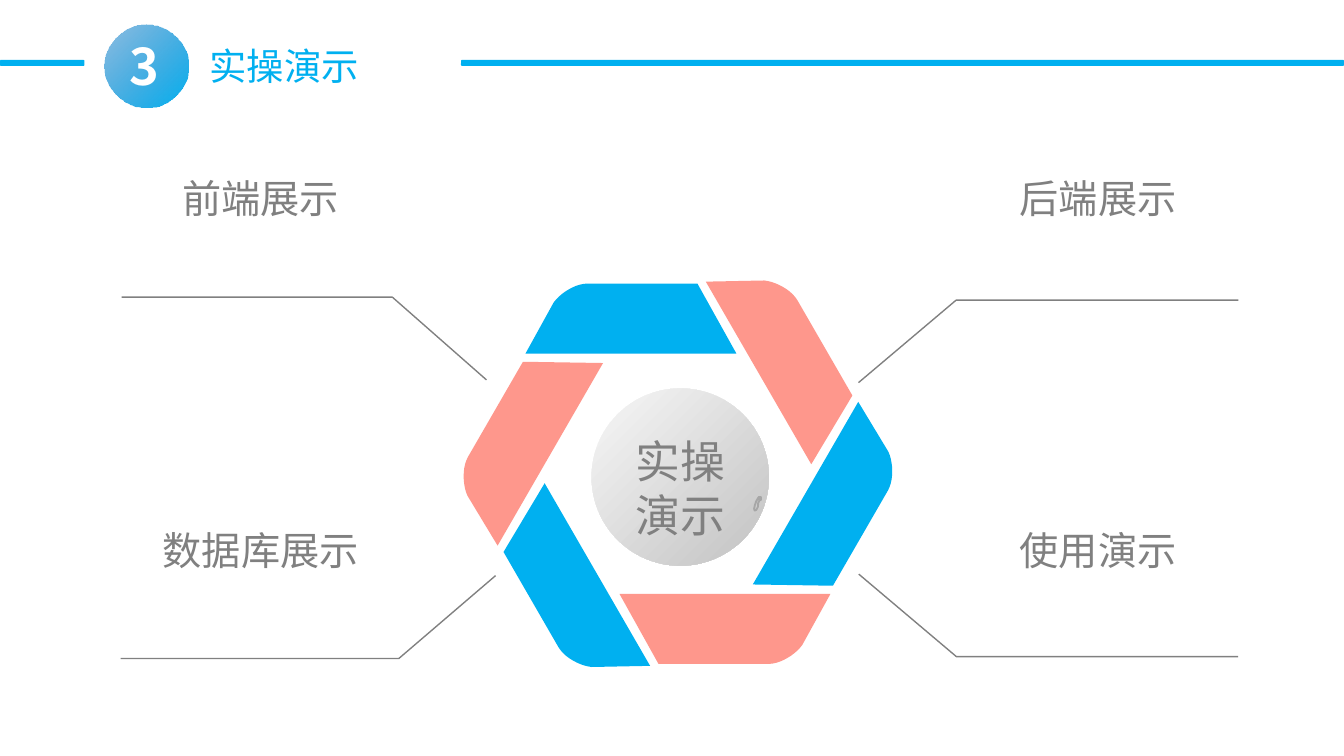
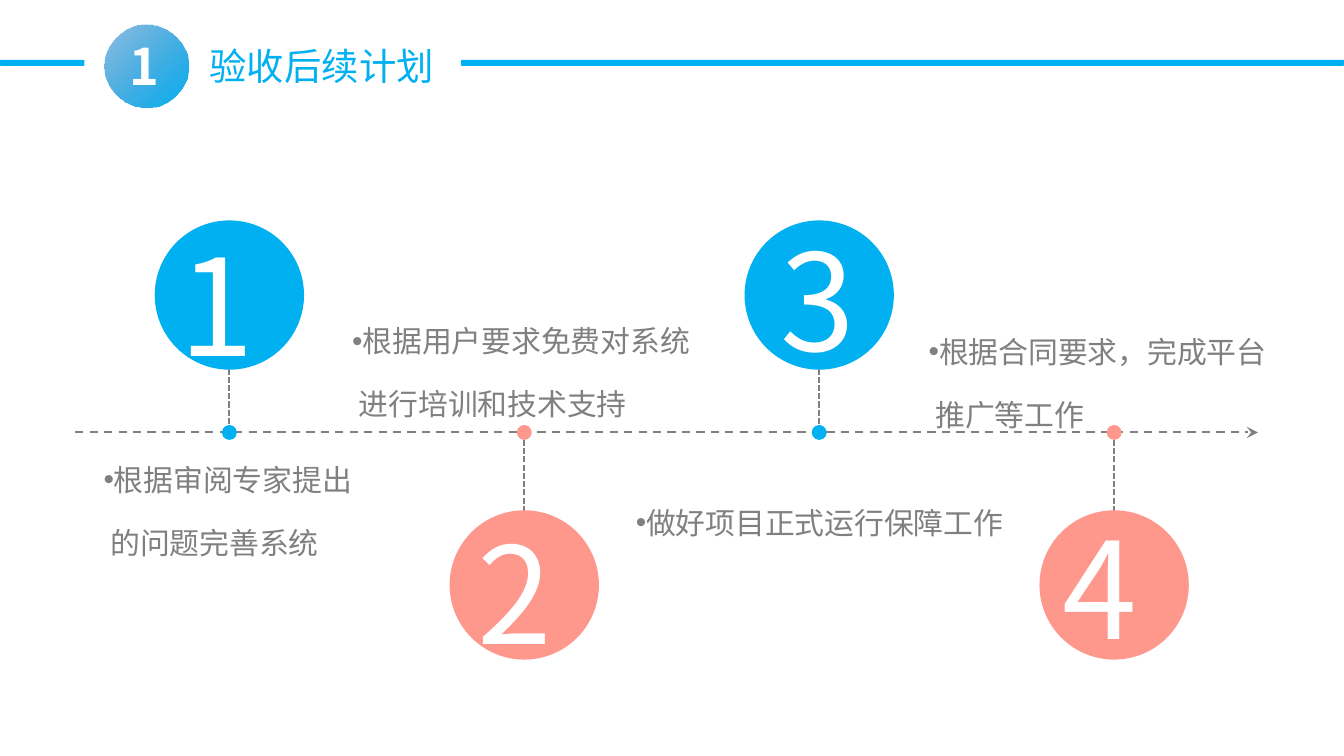
import math
from lxml import etree
from pptx import Presentation
from pptx import util as u
from pptx.dml import color
from pptx.enum import dml, shapes, text
from pptx.oxml import ns

COLORS = {
    "blue": "00B0F0", "deep": "0070C0", "pink": "FE978C", "grey": "808080",
    "white": "FFFFFF", "pale": "F7F7F7", "silver": "C2C2C2", "mark": "A6A6A6",
}
FONT = "Noto Sans CJK SC"
CENTER = (363.2, 253.8)
PETAL = [(48.6, 101.9), (-10.4, 101.9), (-31.3, 64.4), (81.7, 64.4), (66.6, 91.8)]
PETAL_CURVE = [(66.6, 91.8), (63, 96.8), (55, 101.9), (48.6, 101.9)]
CALLOUTS = [
    [(260.6, 203.5), (210.2, 159.2), (65.2, 159.2)],
    [(265.5, 308.4), (213.7, 352.8), (64.6, 352.8)],
    [(459.9, 205), (512.2, 160.8), (663.4, 160.8)],
    [(460.1, 307.6), (512.4, 351.8), (663.4, 351.8)],
]
LABELS = [("前端展示", 58.3, 90), ("数据库展示", 58.3, 278.6),
          ("后端展示", 506.9, 90), ("使用演示", 506.9, 278.6)]
MARKS = [
    [(406.4, 266.4), (405.2, 268.4), (404.4, 270.7), (404, 272.6), (404.3, 273.6),
     (405.2, 273.2), (406.1, 271.5), (406.2, 269.4), (407.5, 267.3), (406.8, 266.4)],
    [(406.8, 266.4), (406.8, 267.8), (407.5, 267.8), (407.5, 266.4)],
]
STEPS = [
    ("1", 78.5, 115.2, "blue"), ("2", 238.3, 270, "pink"),
    ("3", 400.3, 113, "blue"), ("4", 551.5, 267.1, "pink"),
]
PLANS = [
    (["根据用户要求免费对系统", "进行培训和技术支持"], 185.8, 160.6, 65.5),
    (["根据合同要求，完成平台", "推广等工作"], 494.6, 166.3, 65.5),
    (["根据审阅专家提出", "的问题完善系统"], 52.6, 234.7, 65.5),
    (["做好项目正式运行保障工作"], 337.7, 257.8, 31),
]


def rgb(name):
    return color.RGBColor.from_string(COLORS[name])


def bezier(points, steps=10):
    weights = (1, 3, 3, 1)
    return [
        tuple(sum(w * (1 - t) ** (3 - k) * t ** k * point[axis]
                  for k, (w, point) in enumerate(zip(weights, points)))
              for axis in (0, 1))
        for t in (step / steps for step in range(1, steps + 1))
    ]


def write(para, words, size=16, tint="grey", bold=None, align=None, bullet=None,
          indent=0, before=0, spacing=None, tracking=None):
    props = para._p.get_or_add_pPr()
    props.set("marL", str(u.Pt(indent)))
    props.set("indent", "0")
    if bullet:
        etree.SubElement(props, ns.qn("a:buChar")).set("char", bullet)
    else:
        etree.SubElement(props, ns.qn("a:buNone"))
    para.alignment = align or text.PP_ALIGN.LEFT
    para.space_before = u.Pt(before)
    para.line_spacing = spacing
    span = para.add_run()
    span.text = words
    span.font.size = u.Pt(size)
    span.font.bold = bool(bold)
    span.font.name = FONT
    span.font.color.rgb = rgb(tint)
    run_props = span.font._element
    etree.SubElement(run_props, ns.qn("a:ea")).set("typeface", FONT)
    if tracking:
        run_props.set("spc", str(round(tracking * 100)))


class Page:
    def __init__(self, deck, layout):
        self.slide = deck.slides.add_slide(deck.slide_layouts[layout])
        self.shapes = self.slide.shapes

    def place(self, box, left, top, width, height, inset=3.6, wrap=True):
        box.left, box.top = u.Pt(left), u.Pt(top)
        box.width, box.height = u.Pt(width), u.Pt(height)
        frame = box.text_frame
        frame.margin_left = frame.margin_right = u.Pt(inset)
        frame.margin_top = frame.margin_bottom = u.Pt(inset)
        frame.auto_size = text.MSO_AUTO_SIZE.NONE
        frame.vertical_anchor = text.MSO_ANCHOR.TOP
        frame.word_wrap = wrap
        return frame

    def label(self, lines, left, top, width, height, **style):
        frame = self.place(self.shapes.add_textbox(0, 0, 0, 0), left, top, width, height)
        for index, words in enumerate(lines):
            para = frame.add_paragraph() if index else frame.paragraphs[0]
            write(para, words, **style)

    def plan(self, holder, lines, left, top, height):
        frame = self.place(holder, left, top, 213.1, height, inset=2.9)
        write(frame.paragraphs[0], lines[0], bullet="•", spacing=1.5)
        for words in lines[1:]:
            write(frame.add_paragraph(), words, indent=3.6, before=5, spacing=1.5)

    def solid(self, kind, left, top, width, height, tint):
        shape = self.shapes.add_shape(kind, u.Pt(left), u.Pt(top), u.Pt(width), u.Pt(height))
        shape.shadow.inherit = False
        shape.fill.solid()
        shape.fill.fore_color.rgb = rgb(tint)
        shape.line.fill.background()
        return shape

    def disc(self, x, y, size, tint):
        return self.solid(shapes.MSO_SHAPE.OVAL, x - size / 2, y - size / 2, size, size, tint)

    def gradient_disc(self, x, y, size, first, last, opacity=None):
        shape = self.disc(x, y, size, first)
        shape.fill.gradient()
        shape.fill.gradient_angle = 315
        for stop, tint in zip(shape.fill.gradient_stops, (first, last)):
            stop.color.rgb = rgb(tint)
        if opacity:
            tone = next(shape._element.iter(ns.qn("a:srgbClr")))
            etree.SubElement(tone, ns.qn("a:alpha")).set("val", str(opacity * 1000))

    def outline(self, points, closed=False, fill=None, line=None, weight=0.75):
        points = [(u.Pt(x), u.Pt(y)) for x, y in points]
        builder = self.shapes.build_freeform(*points[0])
        builder.add_line_segments(points[1:], close=closed)
        shape = builder.convert_to_shape()
        shape.shadow.inherit = False
        if fill:
            shape.fill.solid()
            shape.fill.fore_color.rgb = rgb(fill)
        else:
            shape.fill.background()
        if line:
            shape.line.color.rgb = rgb(line)
            shape.line.width = u.Pt(weight)
        else:
            shape.line.fill.background()
        return shape

    def petal(self, angle, tint):
        points = PETAL + bezier(PETAL_CURVE)
        shape = self.outline(points, closed=True, fill=tint)
        x = (shape.left + shape.width / 2) / u.Pt(1)
        y = (shape.top + shape.height / 2) / u.Pt(1)
        cos, sin = math.cos(math.radians(angle)), math.sin(math.radians(angle))
        shape.left = u.Pt(CENTER[0] + x * cos - y * sin) - shape.width // 2
        shape.top = u.Pt(CENTER[1] + x * sin + y * cos) - shape.height // 2
        shape.rotation = angle

    def dashed(self, start, end, dash, arrow=False):
        ends = [u.Pt(value) for value in (*start, *end)]
        line = self.shapes.add_connector(shapes.MSO_CONNECTOR.STRAIGHT, *ends)
        line.line.color.rgb = rgb("grey")
        line.line.width = u.Pt(1.1)
        line.line.dash_style = dash
        if arrow:
            etree.SubElement(line.line._ln, ns.qn("a:tailEnd")).set("type", "stealth")
        etree.SubElement(line._element.spPr, ns.qn("a:effectLst"))

    def header(self, number, title):
        frame = self.place(self.shapes.title, 109.4, 20.2, 20 * len(title) + 6.4, 29.5,
                           inset=2.9, wrap=False)
        write(frame.paragraphs[0], title, size=20, tint="blue")
        for left, width in ((247, 473), (0, 45.2)):
            bar = self.solid(shapes.MSO_SHAPE.ROUNDED_RECTANGLE, left, 32.1, width, 3.2, "blue")
            bar.adjustments[0] = 0.167
        self.gradient_disc(78.5, 35.4, 44.8, "deep", "blue", opacity=44)
        self.label([number], 41.8, 15.1, 71.3, 40.3, size=27, tint="white", bold=True,
                   align=text.PP_ALIGN.CENTER, tracking=-2.2)


def demo_slide(deck):
    page = Page(deck, 5)
    page.header("3", "实操演示")
    for index in range(6):
        page.petal((180 + 60 * index) % 360, ("blue", "pink")[index % 2])
    for points in CALLOUTS:
        page.outline(points, line="grey")
    page.gradient_disc(364.4, 255.6, 95, "pale", "silver")
    for points in MARKS:
        page.outline(points, closed=True, line="mark", weight=1)
    for words, left, top in LABELS:
        page.label([words], left, top, 162.7, 33.1, size=21, align=text.PP_ALIGN.CENTER)
    page.label(["实操", "演示"], 321.8, 229, 85.7, 65.5, size=24, align=text.PP_ALIGN.CENTER)


def plan_slide(deck):
    page = Page(deck, 4)
    page.header("1", "验收后续计划")
    axis, first, gap = 231.7, 122.9, 158
    page.dashed((40.3, axis), (673.9, axis), dml.MSO_LINE.DASH, arrow=True)
    for index, (number, left, top, tint) in enumerate(STEPS):
        x = first + gap * index
        start, end, y = ((274.3, 229.7, 313.4) if index % 2 else (axis, 187.2, 158.1))
        page.dashed((x, start), (x, end), dml.MSO_LINE.SQUARE_DOT)
        page.disc(x, axis, 8, tint)
        page.disc(x, y, 80, tint)
        page.label([number], left, top, 69.1, 94.3, size=72, tint="white", indent=14.1)
    holders = [holder for holder in page.slide.placeholders
               if holder.placeholder_format.idx in range(1, 5)]
    for holder, plan in zip(holders, PLANS):
        page.plan(holder, *plan)


def main():
    deck = Presentation()
    deck.slide_width, deck.slide_height = u.Pt(720), u.Pt(405)
    demo_slide(deck)
    plan_slide(deck)
    deck.save("out.pptx")


if __name__ == "__main__":
    main()
